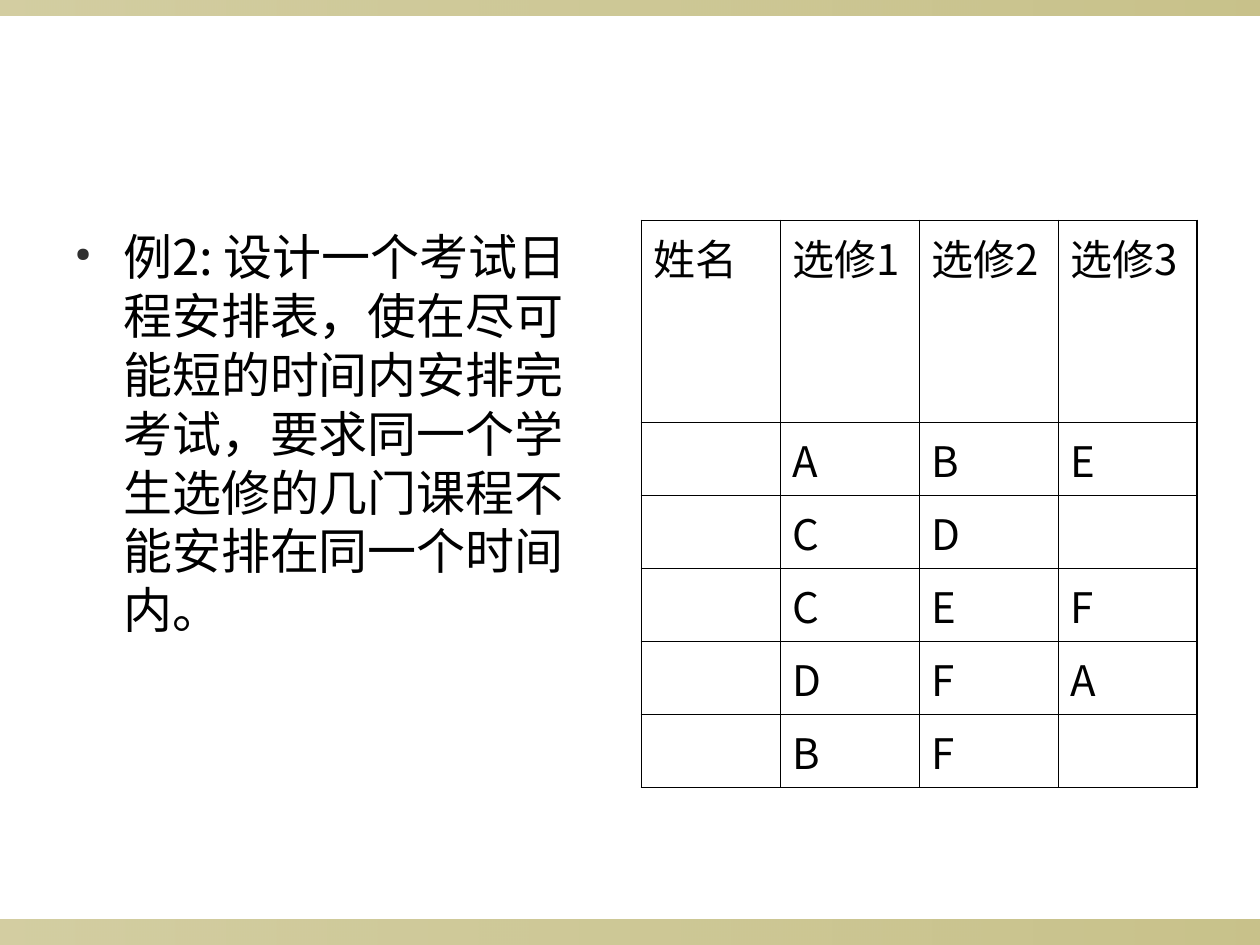
from lxml import etree
from pptx import Presentation
from pptx.dml.color import RGBColor
from pptx.enum.shapes import MSO_SHAPE
from pptx.oxml.ns import qn
from pptx.util import Inches, Pt

RECTANGLE = MSO_SHAPE.RECTANGLE
FONT = "Noto Sans CJK SC"
COLORS = {"band": "918415", "text": "000000", "border": "000000", "bullet": "2F2F2F"}

# Content
TASK = "例2: 设计一个考试日程安排表，使在尽可能短的时间内安排完考试，要求同一个学生选修的几门课程不能安排在同一个时间内。"
COURSES = [
    ("姓名", "选修1", "选修2", "选修3"),
    ("", "A", "B", "E"),
    ("", "C", "D", ""),
    ("", "C", "E", "F"),
    ("", "D", "F", "A"),
    ("", "B", "F", ""),
]
BANDS = [(7.3, 0.2), (0, 0.12)]  # top, height
BAND_OPACITY = (40, 50)
TABLE_LEFT, TABLE_TOP, TABLE_WIDTH = 5.09, 1.75, 4.41
HEADER_HEIGHT, ROW_HEIGHT = 1.6, 0.58
OUTER_LINE, INNER_LINE = 1.08, 0.45


def add_child(parent, tag, **attributes):
    return etree.SubElement(parent, qn(tag), attributes)


def style_text(para, size):
    font = para.font
    font.size = Pt(size)
    font.name = FONT
    font.color.rgb = RGBColor.from_string(COLORS["text"])
    add_child(para._p.pPr.find(qn("a:defRPr")), "a:ea", typeface=FONT)


def add_band(slide, top, height):
    band = slide.shapes.add_shape(RECTANGLE, 0, Inches(top), Inches(10), Inches(height))
    band.shadow.inherit = False
    band.line.fill.background()
    band.fill.gradient()
    band.fill.gradient_angle = 0
    stops = band.fill._xPr.find(qn("a:gradFill")).find(qn("a:gsLst"))
    for stop, opacity in zip(stops, BAND_OPACITY):
        stop.remove(stop[0])
        color = add_child(stop, "a:srgbClr", val=COLORS["band"])
        add_child(color, "a:alpha", val=str(opacity * 1000))


def add_task(slide):
    box = slide.shapes.add_textbox(Inches(0.5), Inches(1.75), Inches(4.41), Inches(4.95))
    box.text_frame.word_wrap = True
    para = box.text_frame.paragraphs[0]
    para.text = TASK
    para.space_before = Pt(7)
    para.line_spacing = 1.0
    properties = para._p.get_or_add_pPr()
    indent = Inches(0.38)
    properties.set("marL", str(indent))
    properties.set("indent", str(-indent))
    add_child(add_child(properties, "a:buClr"), "a:srgbClr", val=COLORS["bullet"])
    add_child(properties, "a:buSzPct", val="40000")
    add_child(properties, "a:buChar", char="●")
    style_text(para, 28)


def draw_borders(cell, row, column):
    outer_sides = {
        "a:lnL": column == 0,
        "a:lnR": column == len(COURSES[0]) - 1,
        "a:lnT": row == 0,
        "a:lnB": row == len(COURSES) - 1,
    }
    properties = cell._tc.get_or_add_tcPr()
    for side, is_outer in outer_sides.items():
        width = Pt(OUTER_LINE if is_outer else INNER_LINE)
        line = add_child(properties, side, w=str(width))
        add_child(add_child(line, "a:solidFill"), "a:srgbClr", val=COLORS["border"])


def add_courses(slide):
    row_count, column_count = len(COURSES), len(COURSES[0])
    heights = [HEADER_HEIGHT] + [ROW_HEIGHT] * (row_count - 1)
    table = slide.shapes.add_table(
        row_count, column_count, Inches(TABLE_LEFT), Inches(TABLE_TOP),
        Inches(TABLE_WIDTH), Inches(sum(heights))).table
    table.first_row = table.horz_banding = False
    for row, (texts, height) in enumerate(zip(COURSES, heights)):
        table.rows[row].height = Inches(height)
        for column, text in enumerate(texts):
            cell = table.cell(row, column)
            draw_borders(cell, row, column)
            cell.fill.background()
            if text:
                cell.text = text
                para = cell.text_frame.paragraphs[0]
                para.space_before = Pt(6)
                style_text(para, 24)


def main():
    deck = Presentation()
    deck.slide_width, deck.slide_height = Inches(10), Inches(7.5)
    slide = deck.slides.add_slide(deck.slide_layouts[6])
    for top, height in BANDS:
        add_band(slide, top, height)
    add_task(slide)
    add_courses(slide)
    deck.save("out.pptx")


if __name__ == "__main__":
    main()
